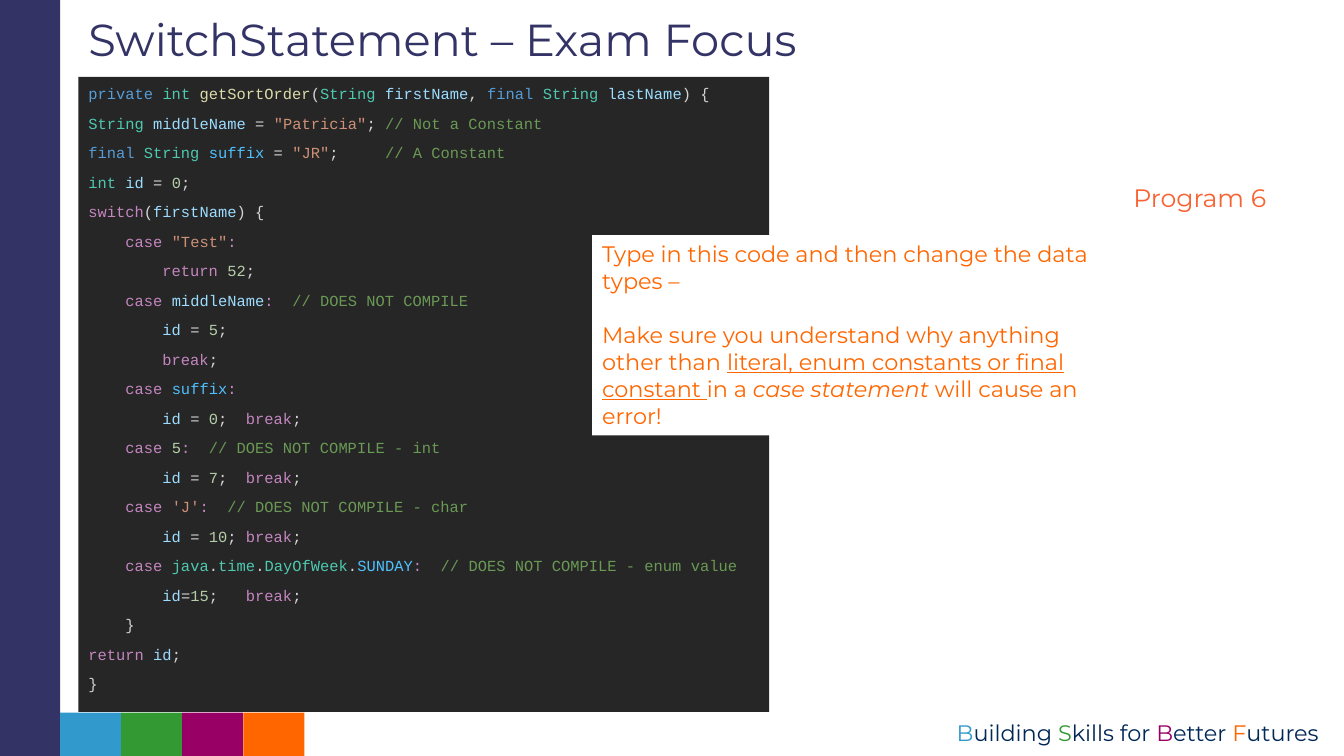
from pptx import Presentation
from pptx.dml.color import RGBColor
from pptx.enum.shapes import MSO_SHAPE
from pptx.enum.text import MSO_ANCHOR, PP_ALIGN
from pptx.util import Pt

RECT = MSO_SHAPE.RECTANGLE
TOP, MIDDLE = MSO_ANCHOR.TOP, MSO_ANCHOR.MIDDLE
LEFT, CENTER, RIGHT = PP_ALIGN.LEFT, PP_ALIGN.CENTER, PP_ALIGN.RIGHT

HEX = {
    "navy": "333366", "ink": "002856", "blue": "3299CC", "green": "339933",
    "plum": "990066", "orange": "FF6600", "coral": "F96232",
    "white": "FFFFFF", "panel": "262626",
    # Code tokens, by one-letter mark
    "m": "569CD6",  # modifier
    "t": "4EC9B0",  # type
    "f": "DCDCAA",  # function
    "v": "9CDCFE",  # variable
    "c": "4FC1FF",  # constant
    "k": "C586C0",  # keyword
    "s": "CE9178",  # string
    "n": "B5CEA8",  # number
    "r": "6A9955",  # remark
    "p": "D4D4D4",  # punctuation
}

# Each token is a mark followed by its text; a bar parts the tokens
CODE = [
    "mprivate |tint |fgetSortOrder|p(|tString |vfirstName|p, |mfinal |tString |vlastName|p) {",
    'tString |vmiddleName|p = |s"Patricia"|p; |r// Not a Constant',
    'mfinal |tString |csuffix|p = |s"JR"|p;     |r// A Constant',
    "tint |vid|p = |n0|p;",
    "kswitch|p(|vfirstName|p) {",
    'k    case |s"Test"|k:',
    "k        return |n52|p;",
    "k    case |vmiddleName|k:  |r// DOES NOT COMPILE",
    "v        id|p = |n5|p;",
    "k        break|p;",
    "k    case |csuffix|k:",
    "v        id|p = |n0|p;  |kbreak|p;",
    "k    case |n5|k:  |r// DOES NOT COMPILE - int",
    "v        id|p = |n7|p;  |kbreak|p;",
    "k    case |s'J'|k:  |r// DOES NOT COMPILE - char",
    "v        id|p = |n10|p; |kbreak|p;",
    "k    case |tjava|p.|ttime|p.|tDayOfWeek|p.|cSUNDAY|k:  |r// DOES NOT COMPILE - enum value",
    "v        id|p=|n15|p;   |kbreak|p;",
    "p    }",
    "kreturn |vid|p;",
    "p}",
]

NOTE = [
    [("Type in this code and then change the data types –", "orange")],
    [("Make sure you understand why anything other than ", "orange"),
     ("literal, enum constants or final constant ", "orange", {"underline": True}),
     ("in a ", "orange"),
     ("case statement ", "orange", {"italic": True}),
     ("will cause an error!", "orange")],
]

MOTTO = [
    ("B", "blue"), ("uilding ", "ink"), ("S", "green"), ("kills for ", "ink"),
    ("B", "plum"), ("etter ", "ink"), ("F", "orange"), ("utures", "ink"),
]


def color(name):
    return RGBColor.from_string(HEX[name])


def apply(target, values):
    for key, value in values.items():
        setattr(target, key, value)


def add_block(slide, box, fill):
    block = slide.shapes.add_shape(RECT, *map(Pt, box))
    block.shadow.inherit = False
    block.fill.solid()
    block.fill.fore_color.rgb = color(fill)
    block.line.fill.background()
    return block


def add_label(slide, box):
    return slide.shapes.add_textbox(*map(Pt, box))


def write(shape, paras, size, face="Montserrat", anchor=TOP, gap=0, **form):
    frame = shape.text_frame
    apply(frame, {"word_wrap": True, "vertical_anchor": anchor})
    for i, runs in enumerate(paras):
        para = frame.add_paragraph() if i else frame.paragraphs[0]
        apply(para, {"alignment": LEFT, **form})
        if i and gap:
            para.space_before = Pt(gap)
        for text, tint, *extra in runs:
            run = para.add_run()
            run.text = text
            run.font.color.rgb = color(tint)
            look = extra[0] if extra else {}
            apply(run.font, {"size": Pt(size), "name": face, **look})


def main():
    deck = Presentation()
    apply(deck, {"slide_width": Pt(960), "slide_height": Pt(540)})
    slide = deck.slides.add_slide(deck.slide_layouts[6])

    # Side bar and colour strip
    add_block(slide, (0, 0, 43, 540), "navy")
    for i, tint in enumerate(("blue", "green", "plum", "orange")):
        add_block(slide, (43 + 43.6 * i, 509, 43.6, 31), tint)

    # Motto
    write(add_label(slide, (602, 510.5, 347, 26.6)), [MOTTO], 16, alignment=RIGHT)

    # Code panel
    lines = [[(token[1:], token[0]) for token in line.split("|")] for line in CODE]
    write(add_block(slide, (56, 55, 493.5, 453.5), "panel"), lines, 11,
          "Courier New", line_spacing=1.14, space_after=Pt(6))

    # Title and program number
    write(add_label(slide, (56, 7.4, 745, 45.4)),
          [[("SwitchStatement – Exam Focus", "navy")]], 32,
          anchor=MIDDLE, line_spacing=0.9)
    write(add_label(slide, (795.5, 126.7, 123, 29)),
          [[("Program 6", "coral")]], 18, alignment=CENTER)

    # Task note
    write(add_block(slide, (423, 168, 378, 143), "white"), NOTE, 16, gap=19.5)

    deck.save("out.pptx")


if __name__ == "__main__":
    main()
